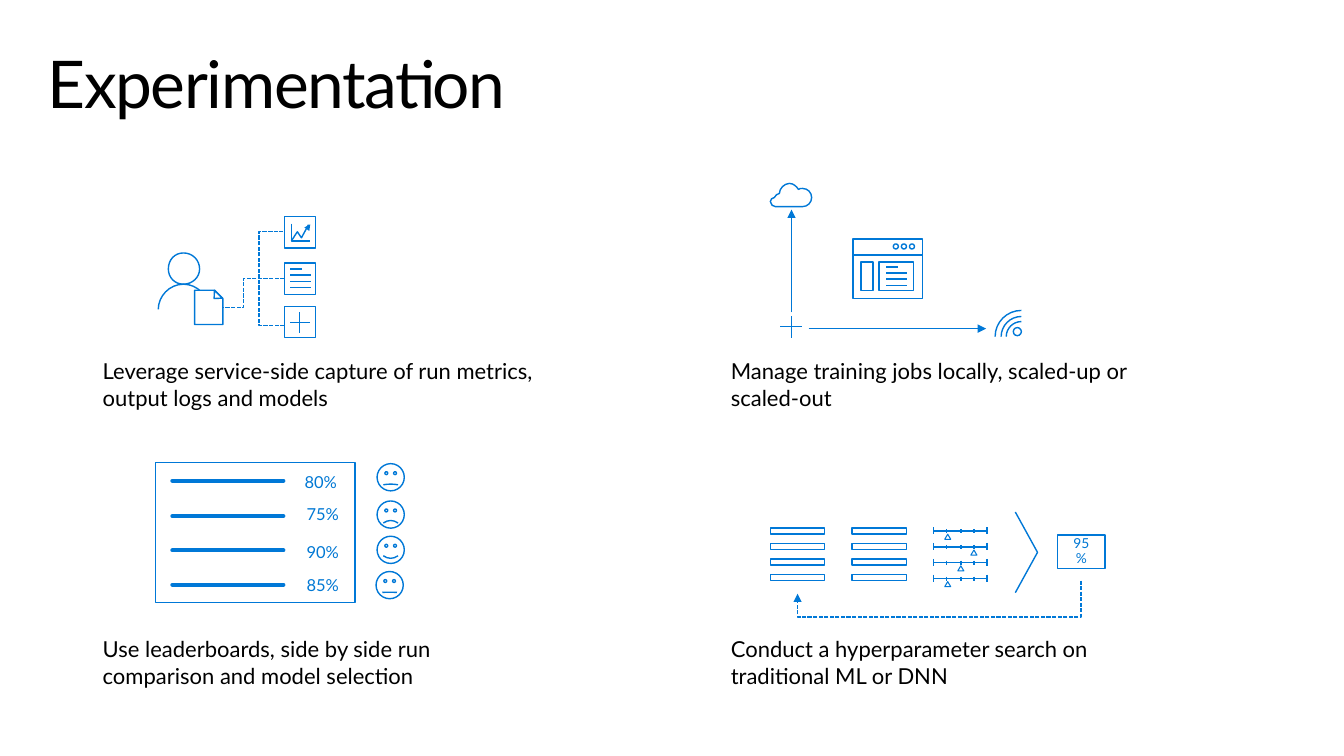
from dataclasses import dataclass
from typing import Optional

from lxml.etree import SubElement
from pptx import Presentation
from pptx.dml.color import RGBColor
from pptx.enum.dml import MSO_LINE
from pptx.enum.shapes import MSO_CONNECTOR, MSO_SHAPE
from pptx.enum.text import MSO_ANCHOR, PP_ALIGN
from pptx.oxml.ns import qn
from pptx.util import Inches, Pt

BLACK = RGBColor(0x00, 0x00, 0x00)
WHITE = RGBColor(0xFF, 0xFF, 0xFF)
BLUE = RGBColor(0x00, 0x78, 0xD7)
TEXT_BLUE = RGBColor(0x00, 0x78, 0xD4)
FONT = "Lato"
Point = tuple[float, float]


@dataclass
class Caption:
    x: float
    y: float
    text: str


@dataclass
class Run:
    line_y: float
    label_x: float
    label_y: float
    label: str
    face_x: float
    face_y: float
    smile: float


CAPTIONS = [
    Caption(0.92, 6.26, "Use leaderboards, side by side run comparison and model selection"),
    Caption(7.15, 6.26, "Conduct a hyperparameter search on traditional ML or DNN"),
    Caption(0.92, 3.5, "Leverage service-side capture of run metrics, output logs and models"),
    Caption(7.15, 3.5, "Manage training jobs locally, scaled-up or scaled-out"),
]
RUNS = [
    Run(4.77, 3.02, 4.7, "80%", 3.74, 4.6, -0.013),
    Run(5.12, 3.04, 5.02, "75%", 3.74, 4.97, -0.047),
    Run(5.46, 3.04, 5.4, "90%", 3.74, 5.32, 0.047),
    Run(5.8, 3.04, 5.73, "85%", 3.73, 5.67, -0.003),
]

prs = Presentation()
prs.slide_width, prs.slide_height = Inches(13.33), Inches(7.5)
s = prs.slides.add_slide(prs.slide_layouts[6])


# Drawing helpers
def style(sp, fill: Optional[RGBColor] = None, width: float = 1) -> None:
    sp.shadow.inherit = False
    if fill is None:
        sp.fill.background()
    else:
        sp.fill.solid()
        sp.fill.fore_color.rgb = fill
    if width:
        sp.line.color.rgb = BLUE
        sp.line.width = Pt(width)
    else:
        sp.line.fill.background()


def shape(kind, x: float, y: float, w: float, h: float, fill: Optional[RGBColor] = None,
          width: float = 1, adj: Optional[float] = None, rotation: float = 0):
    sp = s.shapes.add_shape(kind, Inches(x), Inches(y), Inches(w), Inches(h))
    style(sp, fill, width)
    sp.rotation = rotation
    if adj is not None:
        sp.adjustments[0] = adj
    return sp


def line(x1: float, y1: float, x2: float, y2: float, width: float = 1, arrow: bool = False,
         bend: Optional[float] = None):
    kind = MSO_CONNECTOR.STRAIGHT if bend is None else MSO_CONNECTOR.ELBOW
    c = s.shapes.add_connector(kind, Inches(x1), Inches(y1), Inches(x2), Inches(y2))
    c.line.color.rgb = BLUE
    c.line.width = Pt(width)
    if bend is not None:
        c.line.dash_style = MSO_LINE.SQUARE_DOT
        guides = c._element.spPr.find(qn("a:prstGeom")).get_or_add_avLst()
        SubElement(guides, qn("a:gd"), name="adj1", fmla=f"val {round(bend * 100000)}")
    if arrow:
        SubElement(c.line._get_or_add_ln(), qn("a:tailEnd"), type="triangle")
    SubElement(c._element.spPr, qn("a:effectLst"))
    return c


def outline(*contours: list[Point], curved: bool = False) -> None:
    """Draw contours; when curved, each three points after the start are one Bézier segment."""
    fb = None
    for points in contours:
        start, *rest = [(Inches(x), Inches(y)) for x, y in points]
        if fb is None:
            fb = s.shapes.build_freeform(*start, scale=1.0)
        else:
            fb.move_to(*start)
        fb.add_line_segments(rest, close=points[0] == points[-1])
    sp = fb.convert_to_shape()
    style(sp)
    if curved:
        segments = list(sp._element.iter(qn("a:lnTo")))
        for first, second, third in zip(*[iter(segments)] * 3):
            first.tag = qn("a:cubicBezTo")
            for extra in (second, third):
                first.append(extra[0])
                extra.getparent().remove(extra)


def write(sp, text: str, size: float, color: RGBColor, insets=(0.1, 0.05, 0.1, 0.05),
          spacing: Optional[float] = None):
    tf = sp.text_frame
    tf.word_wrap = True
    tf.margin_left, tf.margin_top, tf.margin_right, tf.margin_bottom = map(Inches, insets)
    tf.text = text
    p = tf.paragraphs[0]
    p.line_spacing = spacing
    r = p.runs[0]
    r.font.name, r.font.size, r.font.color.rgb = FONT, Pt(size), color
    return p


def textbox(x: float, y: float, w: float, h: float):
    return s.shapes.add_textbox(Inches(x), Inches(y), Inches(w), Inches(h))


# Title and captions
p = write(textbox(0.47, 0.33, 12.4, 0.83), "Experimentation", 47, BLACK, (0, 0.18, 0, 0), 0.9)
p.runs[0].font._element.set("spc", "-100")
for cap in CAPTIONS:
    p = write(textbox(cap.x, cap.y, 4.61, 0.63), cap.text, 15.7, BLACK)
    p.space_before = Pt(17.6)

# Run capture: person with a page
head = [(1.67, 2.67), (1.67, 2.58), (1.73, 2.51), (1.82, 2.51), (1.91, 2.51), (1.98, 2.58),
        (1.98, 2.67), (1.98, 2.75), (1.91, 2.82), (1.82, 2.82), (1.73, 2.82), (1.67, 2.75),
        (1.67, 2.67)]
shoulders = [(2.07, 3.07), (2.07, 2.94), (1.96, 2.82), (1.82, 2.82), (1.68, 2.82),
             (1.57, 2.94), (1.57, 3.07)]
outline(head, shoulders, curved=True)
page = shape(MSO_SHAPE.SNIP_1_RECTANGLE, 1.93, 2.88, 0.28, 0.34, WHITE, adj=0.287)
shape(MSO_SHAPE.ISOSCELES_TRIANGLE, 2.09, 2.91, 0.11, 0.06, WHITE, rotation=225)

# Run capture: models, logs and metrics
line(2.97, 3.1, 2.97, 3.3)
line(3.07, 3.2, 2.88, 3.2)
models, logs, metrics = [shape(MSO_SHAPE.RECTANGLE, 2.82, y, 0.31, 0.31)
                         for y in (3.04, 2.61, 2.15)]
outline([(2.89, 2.22), (2.89, 2.39), (3.07, 2.39)])
outline([(2.89, 2.39), (2.95, 2.3), (2.99, 2.36), (3.06, 2.23)])
shape(MSO_SHAPE.ISOSCELES_TRIANGLE, 3.03, 2.22, 0.06, 0.06, BLUE, 0, rotation=34.9)
bracket = shape(MSO_SHAPE.LEFT_BRACKET, 2.57, 2.3, 0.25, 0.93, adj=0)
bracket.line.dash_style = MSO_LINE.SQUARE_DOT
link = line(2.82, 2.76, 2.21, 3.05, bend=0.664)
link.begin_connect(logs, 1)
link.end_connect(page, 3)

# Training jobs: axes and app window
line(7.85, 3.1, 7.85, 2.08, arrow=True)
line(8.02, 3.26, 9.78, 3.26, arrow=True)
line(7.85, 3.14, 7.85, 3.35)
line(7.95, 3.24, 7.74, 3.24)
shape(MSO_SHAPE.RECTANGLE, 8.46, 2.37, 0.69, 0.59)
line(9.15, 2.53, 8.46, 2.53)
for i in range(3):
    shape(MSO_SHAPE.OVAL, 8.86 + 0.08 * i, 2.42, 0.05, 0.05)
shape(MSO_SHAPE.RECTANGLE, 8.72, 2.6, 0.34, 0.28)
shape(MSO_SHAPE.RECTANGLE, 8.54, 2.6, 0.12, 0.28)

# Text lines in the log box and the app window
for x, y, short, full in ((2.88, 2.67, 0.12, 0.2), (8.79, 2.65, 0.12, 0.21)):
    for i in range(4):
        row_y = y + 0.06 * i
        line(x, row_y, x + (full if i else short), row_y)

# Training jobs: cloud and signal
cloud = [(7.96, 2.05), (7.69, 2.05), (7.69, 2.05), (7.69, 2.05), (7.67, 2.05), (7.64, 2.03),
         (7.64, 2), (7.64, 1.98), (7.66, 1.96), (7.68, 1.96), (7.69, 1.94), (7.71, 1.92),
         (7.73, 1.92), (7.73, 1.87), (7.78, 1.82), (7.83, 1.82), (7.87, 1.82), (7.9, 1.85),
         (7.92, 1.88), (7.93, 1.87), (7.94, 1.87), (7.96, 1.87), (8.01, 1.87), (8.05, 1.91),
         (8.05, 1.96), (8.05, 2.01), (8.01, 2.05), (7.96, 2.05)]
outline(cloud, curved=True)
for radius in (0.15, 0.2, 0.26):
    x, y, pull = 10.13 - radius, 3.34 - radius, 0.45 * radius
    outline([(10.13, y), (x + pull, y), (x, y + pull), (x, 3.34)], curved=True)
shape(MSO_SHAPE.OVAL, 10.05, 3.25, 0.08, 0.08)

# Hyperparameter search: bars and sliders
for i, marker_x in enumerate((9.37, 9.63, 9.5, 9.37)):
    for x in (7.64, 8.45):
        shape(MSO_SHAPE.RECTANGLE, x, 5.24 + 0.46 / 3 * i, 0.54, 0.06)
    y = 5.27 + 0.47 / 3 * i
    shape(MSO_SHAPE.ISOSCELES_TRIANGLE, marker_x, y + 0.03, 0.06, 0.05, width=0.75)
    line(9.26, y, 9.8, y)
    for x, top, bottom in ((9.26, 0.04, 0.03), (9.79, 0.04, 0.03), (9.66, 0.02, 0.02),
                           (9.53, 0.02, 0.02), (9.39, 0.02, 0.02)):
        line(x, y - top, x, y + bottom)

# Hyperparameter search: result and feedback loop
outline([(10.07, 5.08), (10.29, 5.48), (10.07, 5.88)])
result = shape(MSO_SHAPE.RECTANGLE, 10.49, 5.31, 0.47, 0.33)
p = write(result, "95%", 9.8, TEXT_BLUE, (0.11, 0.05, 0.11, 0.05), 0.9)
p.alignment = PP_ALIGN.CENTER
result.text_frame.vertical_anchor = MSO_ANCHOR.MIDDLE
loop = line(9.25, 4.42, 9.38, 7.23, arrow=True, bend=2.784)
loop._element.spPr.find(qn("a:xfrm")).set("rot", "5400000")

# Leaderboard
shape(MSO_SHAPE.RECTANGLE, 1.54, 4.59, 1.98, 1.39)
for run in RUNS:
    bar = line(1.71, run.line_y, 2.81, run.line_y, width=3)
    bar.line._get_or_add_ln().set("cap", "rnd")
    write(textbox(run.label_x, run.label_y, 0.65, 0.18), run.label, 11.8, TEXT_BLUE,
          (0, 0, 0, 0), 0.9)
    shape(MSO_SHAPE.SMILEY_FACE, run.face_x, run.face_y, 0.27, 0.27, adj=run.smile)

prs.save("out.pptx")
